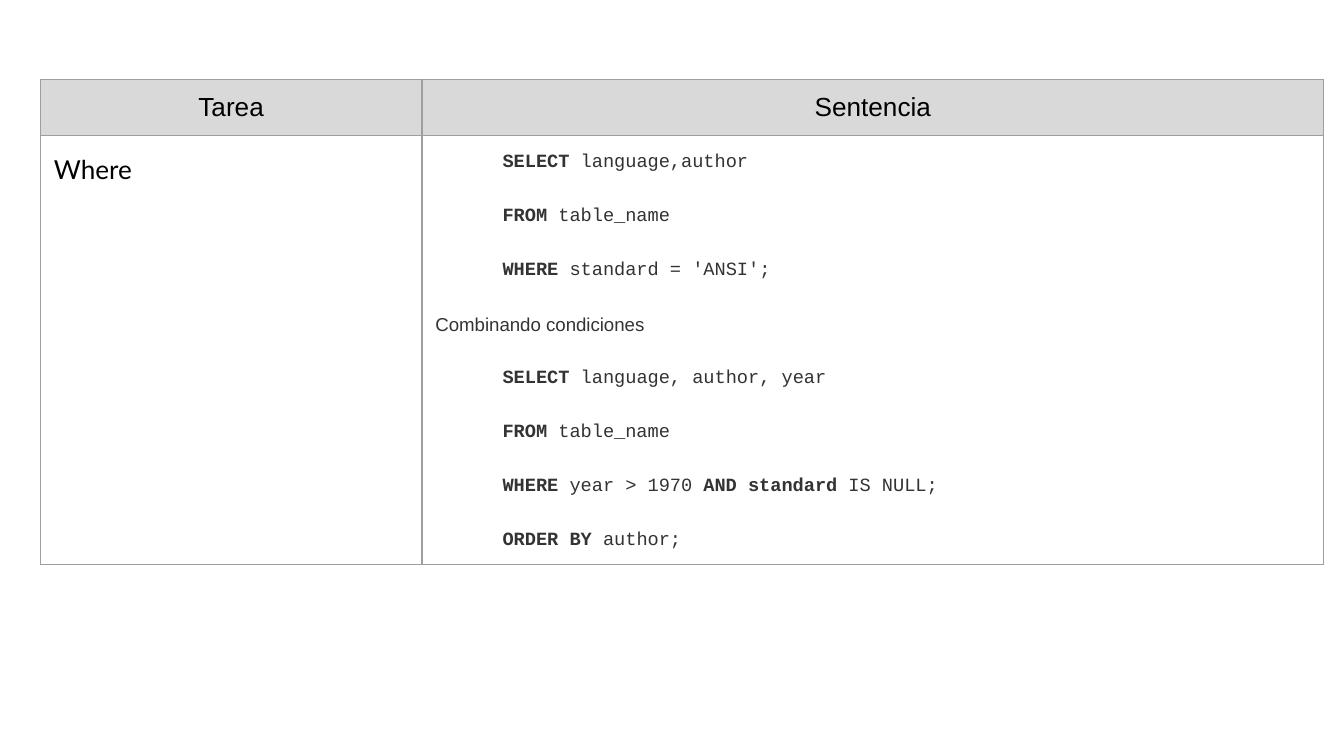
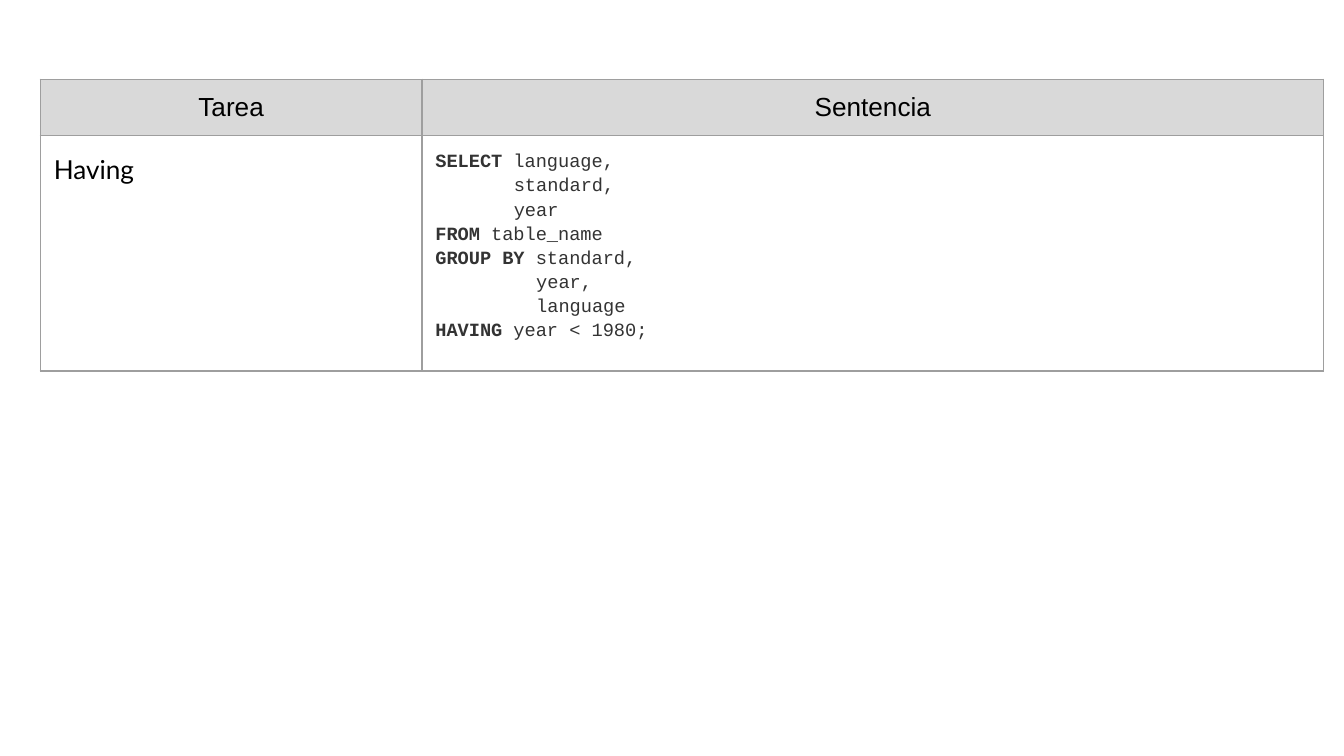
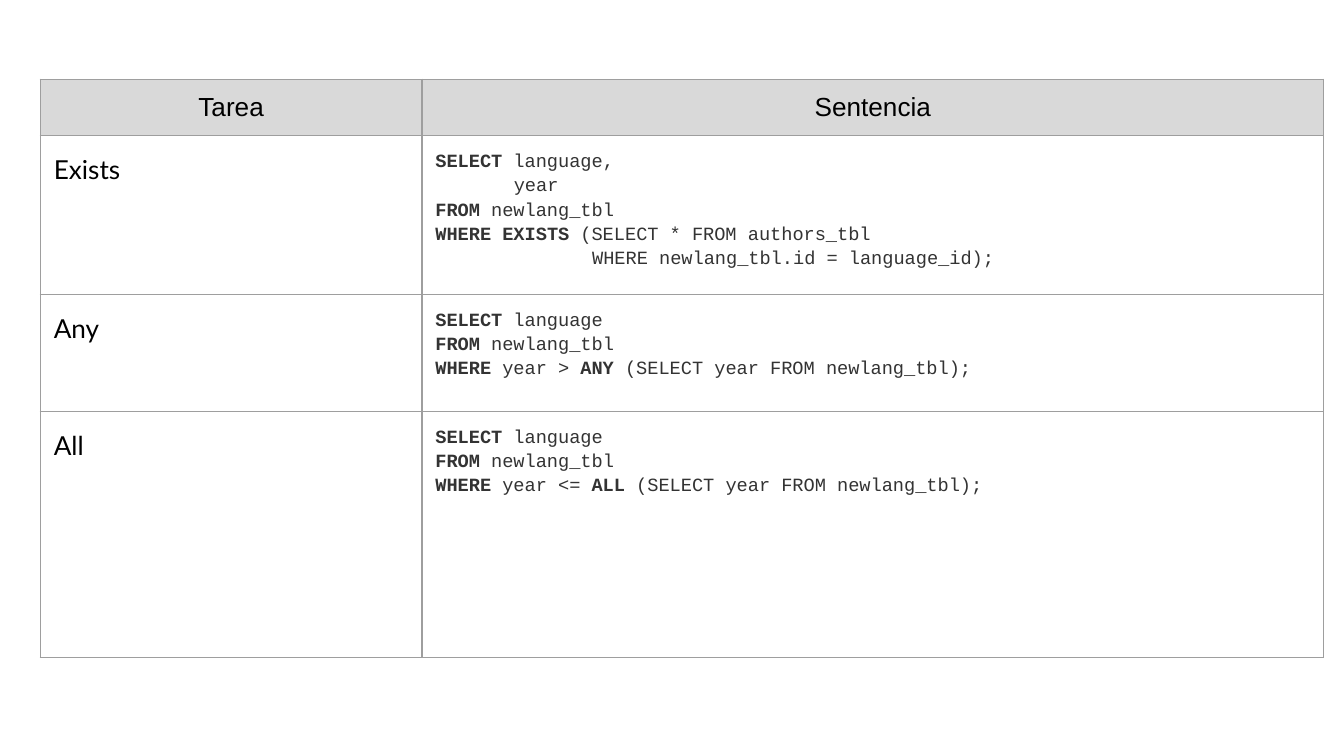
from lxml import etree
from pptx import Presentation
from pptx import util as u
from pptx.dml.color import RGBColor
from pptx.enum import text
from pptx.oxml import ns

GRID = RGBColor(0x9E, 0x9E, 0x9E)
HEAD = RGBColor(0xD9, 0xD9, 0xD9)
BLACK = RGBColor(0x00, 0x00, 0x00)
CODE = RGBColor(0x33, 0x33, 0x33)
SANS, TASK, MONO = "Arial", "Lato", "Courier New"

LEFT, TOP = 0.3, 0.59
COLS = [2.84, 6.71]
HEAD_H = 0.42
CHAR_W = 1 / 12  # one 10 pt monospaced character, in inches


def write(cell, line, font=SANS, size=14, color=BLACK, align=None,
          indent=0, spacing=None, before=0, after=0):
    """Add one paragraph to a cell; **words** between double stars are bold."""
    tf = cell.text_frame
    p = tf.add_paragraph() if tf.text else tf.paragraphs[0]
    p.alignment = align
    p.line_spacing = spacing
    p.space_before, p.space_after = u.Pt(before), u.Pt(after)
    pPr = p._p.get_or_add_pPr()
    pPr.set("marL", str(u.Inches(indent)))
    pPr.set("indent", "0")
    for i, part in enumerate(line.split("**")):
        if part:
            r = p.add_run()
            r.text = part
            r.font.name, r.font.size = font, u.Pt(size)
            r.font.bold = i % 2 == 1
            r.font.color.rgb = color


def style_cell(cell, fill=None):
    """Set the insets, fill and thin grey borders of a cell."""
    cell.margin_left = cell.margin_right = u.Inches(0.1)
    cell.margin_top = cell.margin_bottom = u.Inches(0.1)
    if fill is None:
        cell.fill.background()
    else:
        cell.fill.solid()
        cell.fill.fore_color.rgb = fill
    tcPr = cell._tc.get_or_add_tcPr()
    for i, side in enumerate(("a:lnL", "a:lnR", "a:lnT", "a:lnB")):
        ln = etree.Element(ns.qn(side), w=str(u.Pt(0.75)))
        solid = etree.SubElement(ln, ns.qn("a:solidFill"))
        etree.SubElement(solid, ns.qn("a:srgbClr"), val=str(GRID))
        tcPr.insert(i, ln)


# Each slide: space between code lines, then rows of (task, height, lines).
# Each line: indent in characters, wording and, if not monospaced, its font.
SLIDES = [
    (16, [
        ("Where", 3.19, [
            (6, "**SELECT** language,author"),
            (6, "**FROM** table_name"),
            (6, "**WHERE** standard = 'ANSI';"),
            (0, "Combinando condiciones", SANS),
            (6, "**SELECT** language, author, year"),
            (6, "**FROM** table_name"),
            (6, "**WHERE** year > 1970 **AND standard** IS NULL;"),
            (6, "**ORDER BY** author;"),
        ]),
    ]),
    (0, [
        ("Having", 1.75, [
            (0, "**SELECT** language,"),
            (7, "standard,"),
            (7, "year"),
            (0, "**FROM** table_name"),
            (0, "**GROUP BY** standard,"),
            (9, "year,"),
            (9, "language"),
            (0, "**HAVING** year < 1980;"),
        ]),
    ]),
    (0, [
        ("Exists", 1.18, [
            (0, "**SELECT** language,"),
            (7, "year"),
            (0, "**FROM** newlang_tbl"),
            (0, "**WHERE EXISTS** (SELECT * FROM authors_tbl"),
            (14, "WHERE newlang_tbl.id = language_id);"),
        ]),
        ("Any", 0.87, [
            (0, "**SELECT** language"),
            (0, "**FROM** newlang_tbl"),
            (0, "**WHERE** year > **ANY** (SELECT year FROM newlang_tbl);"),
        ]),
        ("All", 1.83, [
            (0, "**SELECT** language"),
            (0, "**FROM** newlang_tbl"),
            (0, "**WHERE** year <= **ALL** (SELECT year FROM newlang_tbl);"),
        ]),
    ]),
]

# 16:9 page
prs = Presentation()
prs.slide_width, prs.slide_height = u.Inches(10), u.Inches(10 * 9 / 16)

for gap, rows in SLIDES:
    s = prs.slides.add_slide(prs.slide_layouts[6])

    # Table frame
    heights = [HEAD_H] + [height for _, height, _ in rows]
    tbl = s.shapes.add_table(len(heights), len(COLS), u.Inches(LEFT), u.Inches(TOP),
                             u.Inches(sum(COLS)), u.Inches(sum(heights))).table
    tbl.first_row = tbl.horz_banding = False
    for col, width in zip(tbl.columns, COLS):
        col.width = u.Inches(width)
    for row, height in zip(tbl.rows, heights):
        row.height = u.Inches(height)

    # Header row
    for c, title in enumerate(("Tarea", "Sentencia")):
        cell = tbl.cell(0, c)
        style_cell(cell, HEAD)
        write(cell, title, align=text.PP_ALIGN.CENTER)

    # Task and statement
    for n, (task, _, lines) in enumerate(rows, 1):
        name, code = tbl.cell(n, 0), tbl.cell(n, 1)
        style_cell(name)
        style_cell(code)
        write(name, task, font=TASK, spacing=1.15, after=16)
        for i, (chars, line, *font) in enumerate(lines):
            write(code, line, font=font[0] if font else MONO, size=10, color=CODE,
                  indent=chars * CHAR_W, spacing=1.15, before=gap if i else 0)

prs.save("out.pptx")
